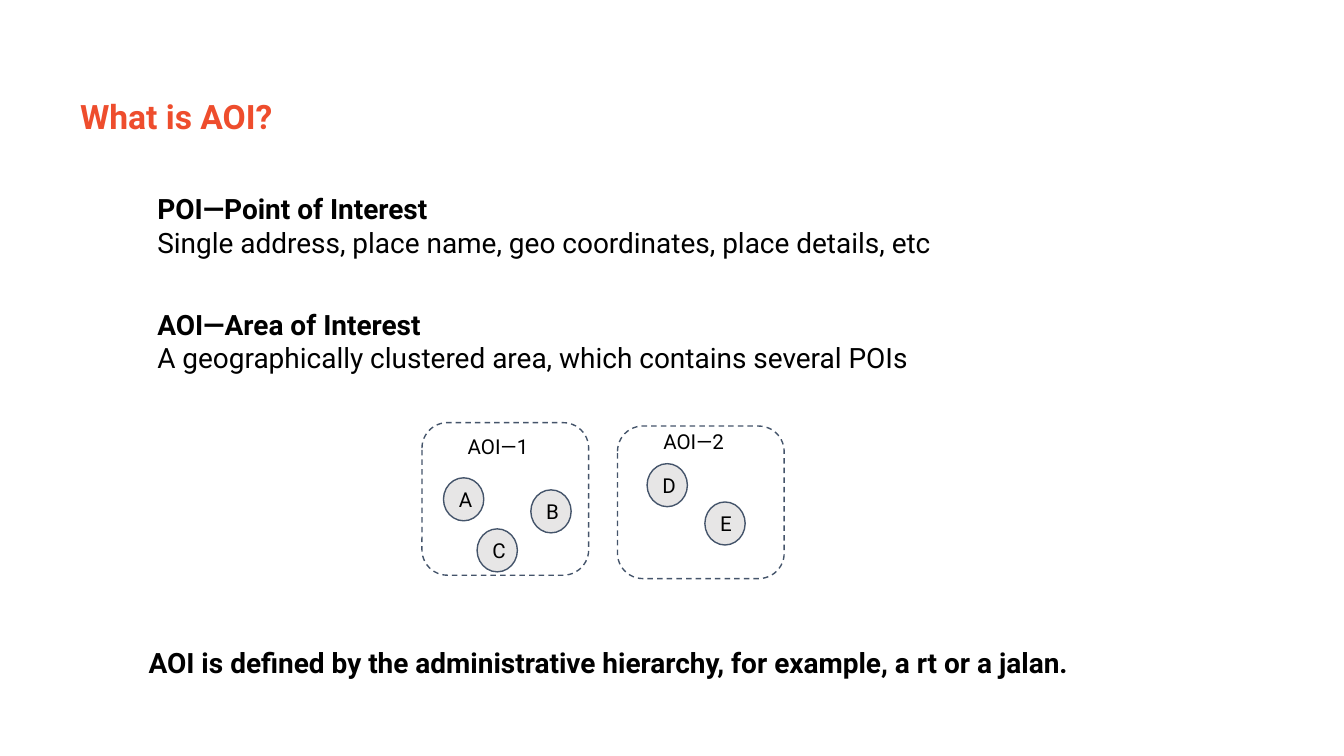
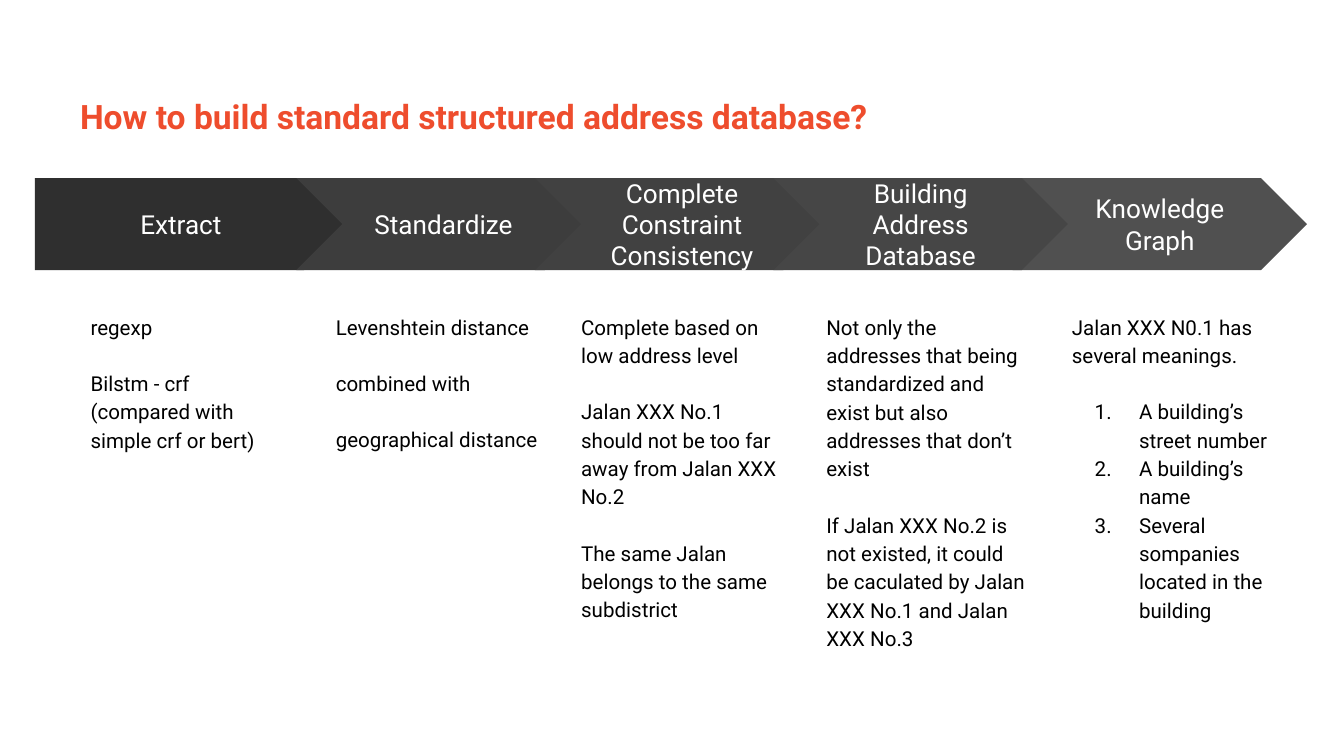
from typing import NamedTuple

import lxml.etree
import pptx
import pptx.dml.color
import pptx.enum.dml
import pptx.enum.shapes
import pptx.enum.text
import pptx.oxml.ns
import pptx.util

PX = 4572  # 200 px to the inch
SLIDE_SIZE = (2000, 1125)
FONT = "Roboto"
RGB = pptx.dml.color.RGBColor
ORANGE = RGB(0xEE, 0x4D, 0x2D)
BLACK = RGB(0, 0, 0)
WHITE = RGB(255, 255, 255)
POI_FILL = RGB(0xE7, 0xE6, 0xE6)
OUTLINE = RGB(0x44, 0x54, 0x6A)
STEP_FILLS = [RGB(shade, shade, shade) for shade in (0x2F, 0x3D, 0x41, 0x46, 0x50)]

SHAPE = pptx.enum.shapes.MSO_SHAPE
ANCHOR = pptx.enum.text.MSO_ANCHOR
ALIGN = pptx.enum.text.PP_ALIGN


class Line(NamedTuple):
    text: str
    before: int = 0
    bold: bool = False
    numbered: bool = False


DEFINITIONS = [
    Line("POI—Point of Interest", bold=True),
    Line("Single address, place name, geo coordinates, place details, etc"),
    Line("AOI—Area of Interest", before=26, bold=True),
    Line("A geographically clustered area, which contains several POIs"),
]

# Label, box corner, label offset, and POI offsets within the box
AREAS = [
    ("AOI—1", (628, 629), (54, 3), {"A": (32, 82), "B": (162, 100), "C": (82, 158)}),
    ("AOI—2", (919, 634), (54, -10), {"E": (130, 113), "D": (44, 56)}),
]

GAP = 15
STEPS = [
    (["Extract"], [
        Line("regexp"),
        Line("Bilstm - crf", GAP),
        Line("(compared with simple crf or bert)")]),
    (["Standardize"], [
        Line("Levenshtein distance"),
        Line("combined with", GAP),
        Line("geographical distance", GAP)]),
    (["Complete", "Constraint", "Consistency"], [
        Line("Complete based on low address level"),
        Line("Jalan XXX No.1 should not be too far away from Jalan XXX No.2", GAP),
        Line("The same Jalan belongs to the same subdistrict", GAP)]),
    (["Building Address Database"], [
        Line("Not only the addresses that being standardized and exist "
             "but also addresses that don’t exist"),
        Line("If Jalan XXX No.2 is not existed, it could be caculated by "
             "Jalan XXX No.1 and Jalan XXX No.3", GAP)]),
    (["Knowledge Graph"], [
        Line("Jalan XXX N0.1 has several meanings."),
        Line("A building’s street number", GAP, numbered=True),
        Line("A building’s name", numbered=True),
        Line("Several sompanies located in the building", numbered=True)]),
]


def px(length):
    return pptx.util.Emu(length * PX)


def set_all(target, formats):
    for name, value in formats.items():
        setattr(target, name, value)


def place(shape, box):
    set_all(shape, dict(zip(("left", "top", "width", "height"), map(px, box))))


def set_bullet(paragraph, numbered):
    """Give the paragraph a number with a hanging indent, or neither."""
    properties = paragraph._p.get_or_add_pPr()
    properties.set("marL", str(px(100) if numbered else 0))
    properties.set("indent", str(px(-66) if numbered else 0))
    qn = pptx.oxml.ns.qn
    if numbered:
        color = lxml.etree.SubElement(properties, qn("a:buClr"))
        lxml.etree.SubElement(color, qn("a:srgbClr"), val=str(BLACK))
        lxml.etree.SubElement(properties, qn("a:buFont"), typeface=FONT)
        lxml.etree.SubElement(properties, qn("a:buAutoNum"), type="arabicPeriod")
    else:
        lxml.etree.SubElement(properties, qn("a:buNone"))


def write(shape, lines, size, color=BLACK, inset=(14, 14), anchor=ANCHOR.TOP,
          align=ALIGN.LEFT, spacing=1.0):
    frame = shape.text_frame
    side, end = map(px, inset)
    set_all(frame, {
        "word_wrap": True, "auto_size": pptx.enum.text.MSO_AUTO_SIZE.NONE,
        "vertical_anchor": anchor, "margin_left": side, "margin_right": side,
        "margin_top": end, "margin_bottom": end,
    })
    for index, line in enumerate(lines):
        paragraph = frame.add_paragraph() if index else frame.paragraphs[0]
        set_bullet(paragraph, line.numbered)
        set_all(paragraph, {"alignment": align, "line_spacing": spacing,
                            "space_before": pptx.util.Pt(line.before)})
        run = paragraph.add_run()
        run.text = line.text
        set_all(run.font, {"name": FONT, "size": pptx.util.Pt(size), "bold": line.bold})
        run.font.color.rgb = color


def add_text(slide, box, lines, size, **formats):
    caption = slide.shapes.add_textbox(*map(px, box))
    write(caption, lines, size, **formats)


def add_outline(slide, kind, box, fill=None, line=None):
    shape = slide.shapes.add_shape(kind, *map(px, box))
    shape.shadow.inherit = False
    if fill is None:
        shape.fill.background()
    else:
        shape.fill.solid()
        shape.fill.fore_color.rgb = fill
    if line is None:
        shape.line.fill.background()
    else:
        shape.line.color.rgb = line
        shape.line.width = pptx.util.Pt(0.75)
    return shape


def add_titled_slide(deck, title):
    slide = deck.slides.add_slide(deck.slide_layouts[1])
    place(slide.shapes.title, (105, 135, 1788, 76))
    write(slide.shapes.title, [Line(title, bold=True)], 18, color=ORANGE, inset=(14, 8))
    return slide


def add_area(slide, label, corner, label_offset, points):
    """One dashed area with its label and the POIs inside it."""
    left, top = corner
    for name, (dx, dy) in points.items():
        poi = add_outline(slide, SHAPE.OVAL, (left + dx, top + dy, 60, 64),
                          POI_FILL, OUTLINE)
        write(poi, [Line(name)], 11, anchor=ANCHOR.MIDDLE)
    area = add_outline(slide, SHAPE.ROUNDED_RECTANGLE, (left, top, 248, 227), line=OUTLINE)
    area.line.dash_style = pptx.enum.dml.MSO_LINE.DASH
    dx, dy = label_offset
    add_text(slide, (left + dx, top + dy, 142, 66), [Line(label)], 11)


def build_aoi_slide(deck):
    slide = add_titled_slide(deck, "What is AOI?")
    definitions = slide.placeholders[1]
    place(definitions, (220, 271, 1242, 270))
    write(definitions, DEFINITIONS, 15)
    for area in AREAS:
        add_area(slide, *area)
    conclusion = ("AOI is defined by the administrative hierarchy, "
                  "for example, a rt or a jalan.")
    add_text(slide, (207, 947, 1450, 80), [Line(conclusion, bold=True)], 15)


def add_step_arrow(slide, index, box):
    kind = SHAPE.CHEVRON if index else SHAPE.PENTAGON
    arrow = add_outline(slide, kind, box, STEP_FILLS[index])
    write(arrow, [Line(text) for text in STEPS[index][0]], 14, color=WHITE,
          inset=(20, 20), anchor=ANCHOR.MIDDLE, align=ALIGN.CENTER)


def build_process_slide(deck):
    slide = add_titled_slide(deck, "How to build standard structured address database?")
    # Each arrow overlaps the next; the fourth lies over the fifth
    for index in (0, 1, 2, 4, 3):
        left = 441 + (index - 1) * 1066 // 3 if index else 52
        add_step_arrow(slide, index, (left, 265, 438 if index else 469, 137))
    # Notes below the arrows; the numbered list fills the body placeholder
    details = {"inset": (20, 20), "spacing": 1.15}
    for index, (_, notes) in enumerate(STEPS):
        column = (115 + index * 365, 443, 344, 482)
        if any(line.numbered for line in notes):
            place(slide.placeholders[1], column)
            write(slide.placeholders[1], notes, 11, **details)
        else:
            add_text(slide, column, notes, 11, **details)


def main():
    deck = pptx.Presentation()
    deck.slide_width, deck.slide_height = map(px, SLIDE_SIZE)
    build_aoi_slide(deck)
    build_process_slide(deck)
    deck.save("out.pptx")


if __name__ == "__main__":
    main()
